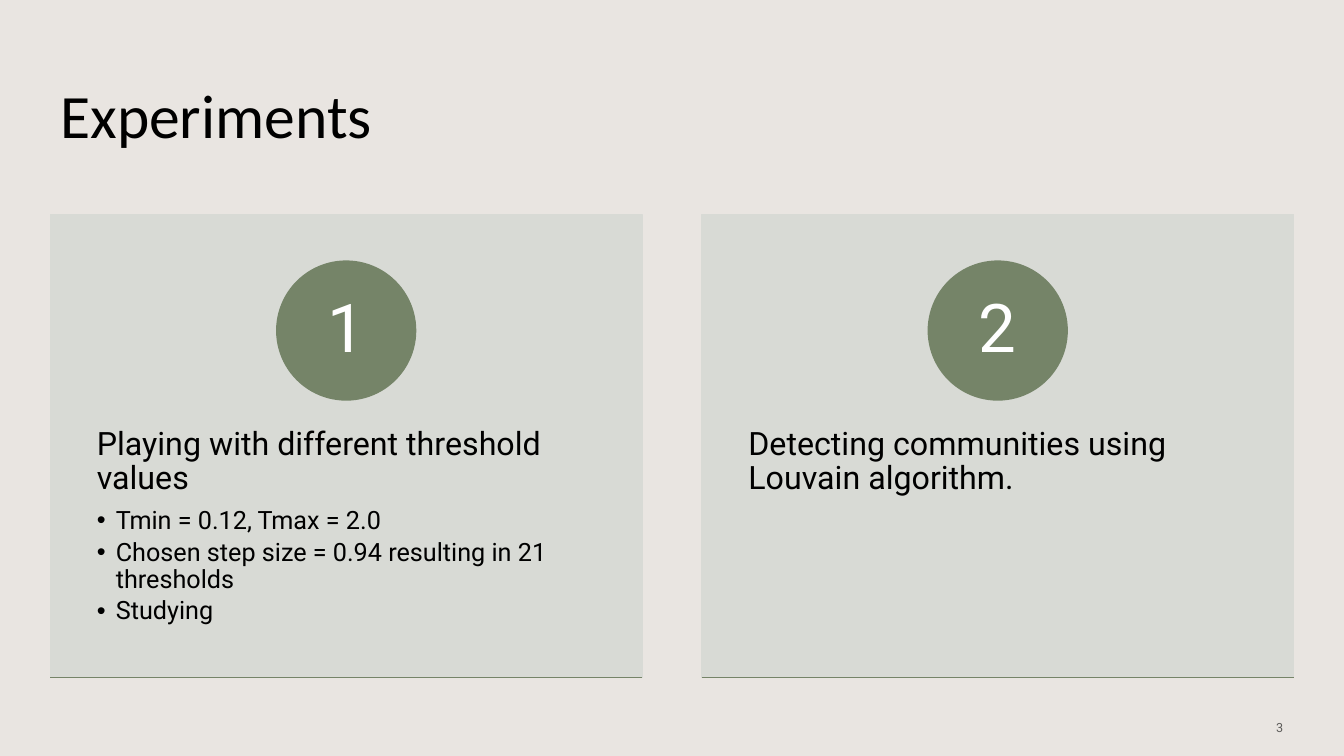
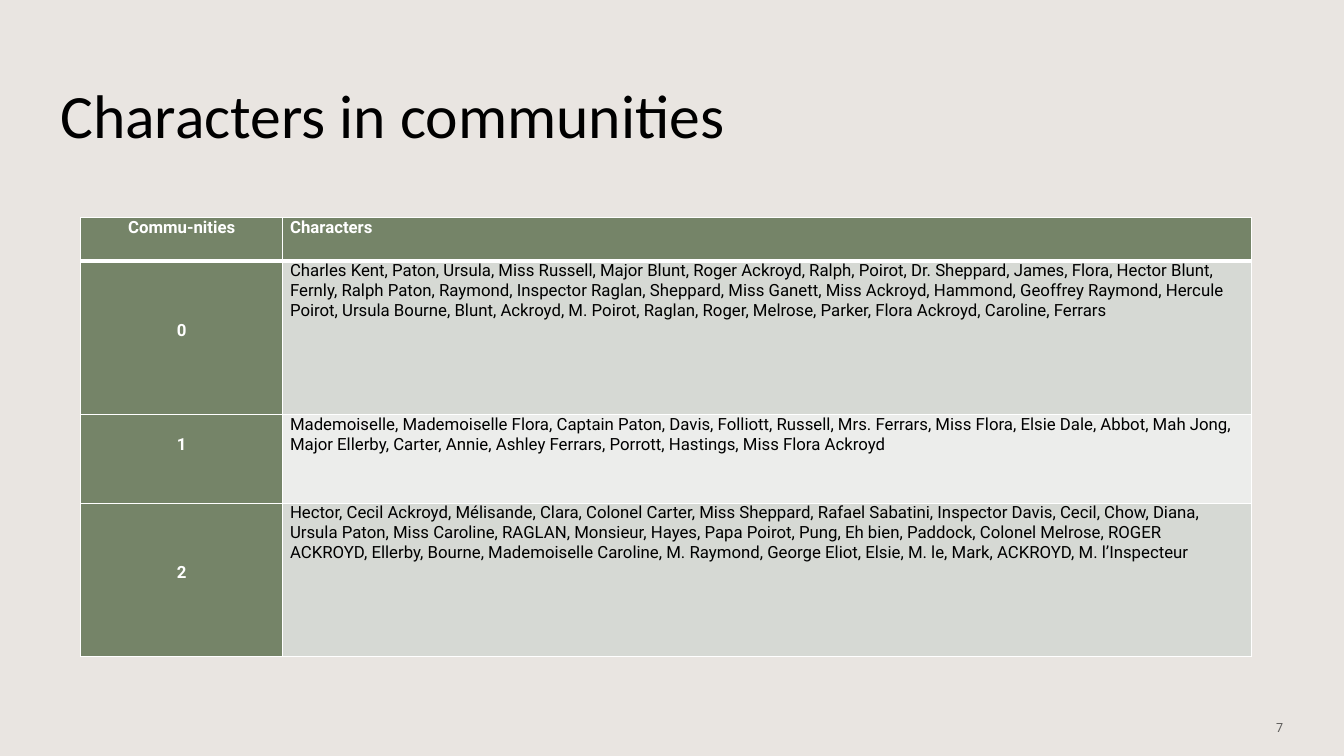
from dataclasses import dataclass

from lxml import etree
from pptx import Presentation
from pptx.dml.color import RGBColor
from pptx.enum.shapes import MSO_CONNECTOR, MSO_SHAPE
from pptx.enum.text import MSO_ANCHOR, MSO_AUTO_SIZE, PP_ALIGN
from pptx.oxml.ns import qn
from pptx.util import Cm, Pt

LEFT, CENTER, RIGHT = PP_ALIGN.LEFT, PP_ALIGN.CENTER, PP_ALIGN.RIGHT
TOP, MIDDLE = MSO_ANCHOR.TOP, MSO_ANCHOR.MIDDLE
NO_FIT = MSO_AUTO_SIZE.NONE
RECT, OVAL = MSO_SHAPE.RECTANGLE, MSO_SHAPE.OVAL
STRAIGHT = MSO_CONNECTOR.STRAIGHT

COLORS = {
    "background": "E9E5E1",
    "card": "D8DAD5",
    "green": "758468",
    "band": "D6D9D4",
    "light_band": "ECEDEB",
    "black": "000000",
    "white": "FFFFFF",
    "grey": "5D5C5A",
}
TITLE_FONT, BODY_FONT = "Calibri", "Roboto"

SLIDE_W, SLIDE_H = 33.87, 19.05
MARGIN = 1.27
CARD_TOP, CARD_W, CARD_H = 5.41, 14.91, 11.66
CARD_PITCH = SLIDE_W - 2 * MARGIN - CARD_W
BODY_TOP, BODY_H = 9.86, 6.98
CIRCLE_TOP, CIRCLE_SIZE = 6.58, 3.5

TITLE_ONLY, TWO_CONTENT = 5, 3
TABLE_LEFT, TABLE_TOP = 2.03, 5.48
COL_WIDTHS = (5.1, 24.4)
HEADER_H = 1.1
TEXT_LINE = 0.5


@dataclass(frozen=True)
class Card:
    number: str
    heading: str
    points: tuple[str, ...] = ()


@dataclass(frozen=True)
class Community:
    label: str
    names: str
    height: float
    lines_above: int
    fill: str


CARDS = (
    Card("1", "Playing with different threshold values", (
        "Tmin = 0.12, Tmax = 2.0",
        "Chosen step size = 0.94 resulting in 21 thresholds",
        "Studying",
    )),
    Card("2", "Detecting communities using Louvain algorithm."),
)

COMMUNITIES = (
    Community(
        "0",
        "Charles Kent, Paton, Ursula, Miss Russell, Major Blunt, Roger Ackroyd, "
        "Ralph, Poirot, Dr. Sheppard, James, Flora, Hector Blunt, Fernly, Ralph "
        "Paton, Raymond, Inspector Raglan, Sheppard, Miss Ganett, Miss Ackroyd, "
        "Hammond, Geoffrey Raymond, Hercule Poirot, Ursula Bourne, Blunt, Ackroyd, "
        "M. Poirot, Raglan, Roger, Melrose, Parker, Flora Ackroyd, Caroline, Ferrars",
        3.87, 3, "band"),
    Community(
        "1",
        "Mademoiselle, Mademoiselle Flora, Captain Paton, Davis, Folliott, Russell, "
        "Mrs. Ferrars, Miss Flora, Elsie Dale, Abbot, Mah Jong, Major Ellerby, "
        "Carter, Annie, Ashley Ferrars, Porrott, Hastings, Miss Flora Ackroyd",
        2.23, 1, "light_band"),
    Community(
        "2",
        "Hector, Cecil Ackroyd, Mélisande, Clara, Colonel Carter, Miss Sheppard, "
        "Rafael Sabatini, Inspector Davis, Cecil, Chow, Diana, Ursula Paton, Miss "
        "Caroline, RAGLAN, Monsieur, Hayes, Papa Poirot, Pung, Eh bien, Paddock, "
        "Colonel Melrose, ROGER ACKROYD, Ellerby, Bourne, Mademoiselle Caroline, "
        "M. Raymond, George Eliot, Elsie, M. le, Mark, ACKROYD, M. l’Inspecteur",
        3.87, 3, "band"),
)


def rgb(name: str) -> RGBColor:
    return RGBColor.from_string(COLORS[name])


def write(p, text: str, *, size: float, color: str = "black", font: str = BODY_FONT,
          bold: bool = False, align=LEFT, spacing: float = 1.0, after: float = 0) -> None:
    """Fill a paragraph with one formatted run."""
    p.alignment, p.line_spacing = align, spacing
    p.space_before, p.space_after = Pt(0), Pt(after)
    r = p.add_run()
    r.text = text
    r.font.name, r.font.size, r.font.bold = font, Pt(size), bold
    r.font.color.rgb = rgb(color)


def set_bullet(p, char: str = "", indent: float = 0) -> None:
    """Set a hanging bullet, or remove the inherited one when char is empty."""
    pPr = p._p.get_or_add_pPr()
    pPr.set("marL", str(Cm(indent)))
    pPr.set("indent", str(-Cm(indent)))
    if char:
        etree.SubElement(pPr, qn("a:buFont")).set("typeface", "Arial")
        etree.SubElement(pPr, qn("a:buChar")).set("char", char)
    else:
        etree.SubElement(pPr, qn("a:buNone"))


def set_frame(tf, anchor, inset_x: float = 0.25, inset_y: float = 0.13) -> None:
    tf.word_wrap, tf.auto_size, tf.vertical_anchor = True, NO_FIT, anchor
    tf.margin_left = tf.margin_right = Cm(inset_x)
    tf.margin_top = tf.margin_bottom = Cm(inset_y)


def place(sp, left: float, top: float, width: float, height: float) -> None:
    sp.left, sp.top, sp.width, sp.height = Cm(left), Cm(top), Cm(width), Cm(height)


def add_base_slide(prs, layout: int, title: str, number: str):
    """Add a slide with the shared title and page number."""
    s = prs.slides.add_slide(prs.slide_layouts[layout])
    sp = s.shapes.title
    place(sp, MARGIN, 1.02, 30.28, 3.68)
    set_frame(sp.text_frame, MIDDLE)
    write(sp.text_frame.paragraphs[0], title, size=44, font=TITLE_FONT)
    tf = s.shapes.add_textbox(Cm(24.97), Cm(17.83), Cm(7.62), Cm(1.02)).text_frame
    set_frame(tf, MIDDLE)
    write(tf.paragraphs[0], number, size=9, color="grey", align=RIGHT)
    return s


def add_shape(s, kind, left: float, top: float, width: float, height: float, color: str):
    sp = s.shapes.add_shape(kind, Cm(left), Cm(top), Cm(width), Cm(height))
    sp.shadow.inherit = False
    sp.fill.solid()
    sp.fill.fore_color.rgb = sp.line.color.rgb = rgb(color)
    sp.line.width = Pt(1)
    return sp


def add_rule(s, left: float, top: float, width: float) -> None:
    line = s.shapes.add_connector(STRAIGHT, Cm(left), Cm(top), Cm(left + width), Cm(top))
    line.line.color.rgb, line.line.width = rgb("green"), Pt(1)
    etree.SubElement(line._element.spPr, qn("a:effectLst"))


def add_card(s, card: Card, body, left: float) -> None:
    add_shape(s, RECT, left, CARD_TOP, CARD_W, CARD_H, "card")
    add_rule(s, left, CARD_TOP + CARD_H, CARD_W)
    circle = add_shape(s, OVAL, left + (CARD_W - CIRCLE_SIZE) / 2, CIRCLE_TOP,
                       CIRCLE_SIZE, CIRCLE_SIZE, "green")
    set_frame(circle.text_frame, MIDDLE, 0, 0)
    write(circle.text_frame.paragraphs[0], card.number, size=48, color="white",
          align=CENTER, spacing=0.9)

    s.shapes._spTree.append(body._element)  # bring the text in front of its card
    place(body, left, BODY_TOP, CARD_W, BODY_H)
    tf = body.text_frame
    set_frame(tf, TOP, 1.17, 0.91)
    p = tf.paragraphs[0]
    set_bullet(p)
    write(p, card.heading, size=23, spacing=0.9, after=8)
    for point in card.points:
        p = tf.add_paragraph()
        set_bullet(p, "•", 0.48)
        write(p, point, size=18, spacing=0.9, after=3)


def set_borders(cell, top: float = 1, bottom: float = 1) -> None:
    tcPr = cell._tc.get_or_add_tcPr()
    for side, width in (("L", 1), ("R", 1), ("T", top), ("B", bottom)):
        ln = etree.SubElement(tcPr, qn(f"a:ln{side}"), w=str(Pt(width)))
        fill = etree.SubElement(ln, qn("a:solidFill"))
        etree.SubElement(fill, qn("a:srgbClr"), val=COLORS["white"])


def fill_cell(cell, text: str, fill: str, *, top: float = 0, **fmt) -> None:
    cell.fill.solid()
    cell.fill.fore_color.rgb = rgb(fill)
    cell.vertical_anchor = TOP
    cell.margin_left = cell.margin_right = Cm(0.18)
    cell.margin_top, cell.margin_bottom = Cm(top), 0
    write(cell.text_frame.paragraphs[0], text, size=12, **fmt)


def add_community_table(s) -> None:
    heights = [HEADER_H, *(c.height for c in COMMUNITIES)]
    tbl = s.shapes.add_table(len(heights), len(COL_WIDTHS), Cm(TABLE_LEFT), Cm(TABLE_TOP),
                             Cm(sum(COL_WIDTHS)), Cm(sum(heights))).table
    for col, width in zip(tbl.columns, COL_WIDTHS):
        col.width = Cm(width)
    for i, (row, height) in enumerate(zip(tbl.rows, heights)):
        row.height = Cm(height)
        for cell in row.cells:
            set_borders(cell, top=3 if i == 1 else 1, bottom=3 if i == 0 else 1)
    label = {"color": "white", "bold": True}
    fill_cell(tbl.cell(0, 0), "Commu-nities", "green", align=CENTER, **label)
    fill_cell(tbl.cell(0, 1), "Characters", "green", **label)
    for i, c in enumerate(COMMUNITIES, start=1):
        fill_cell(tbl.cell(i, 0), c.label, "green", top=c.lines_above * TEXT_LINE,
                  align=CENTER, **label)
        fill_cell(tbl.cell(i, 1), c.names, c.fill)


def main() -> None:
    prs = Presentation()
    prs.slide_width, prs.slide_height = Cm(SLIDE_W), Cm(SLIDE_H)
    background = prs.slide_master.background.fill
    background.solid()
    background.fore_color.rgb = rgb("background")

    s = add_base_slide(prs, TWO_CONTENT, "Experiments", "3")
    for i, card in enumerate(CARDS):
        add_card(s, card, s.placeholders[i + 1], MARGIN + i * CARD_PITCH)

    s = add_base_slide(prs, TITLE_ONLY, "Characters in communities", "7")
    add_community_table(s)
    prs.save("out.pptx")


if __name__ == "__main__":
    main()
